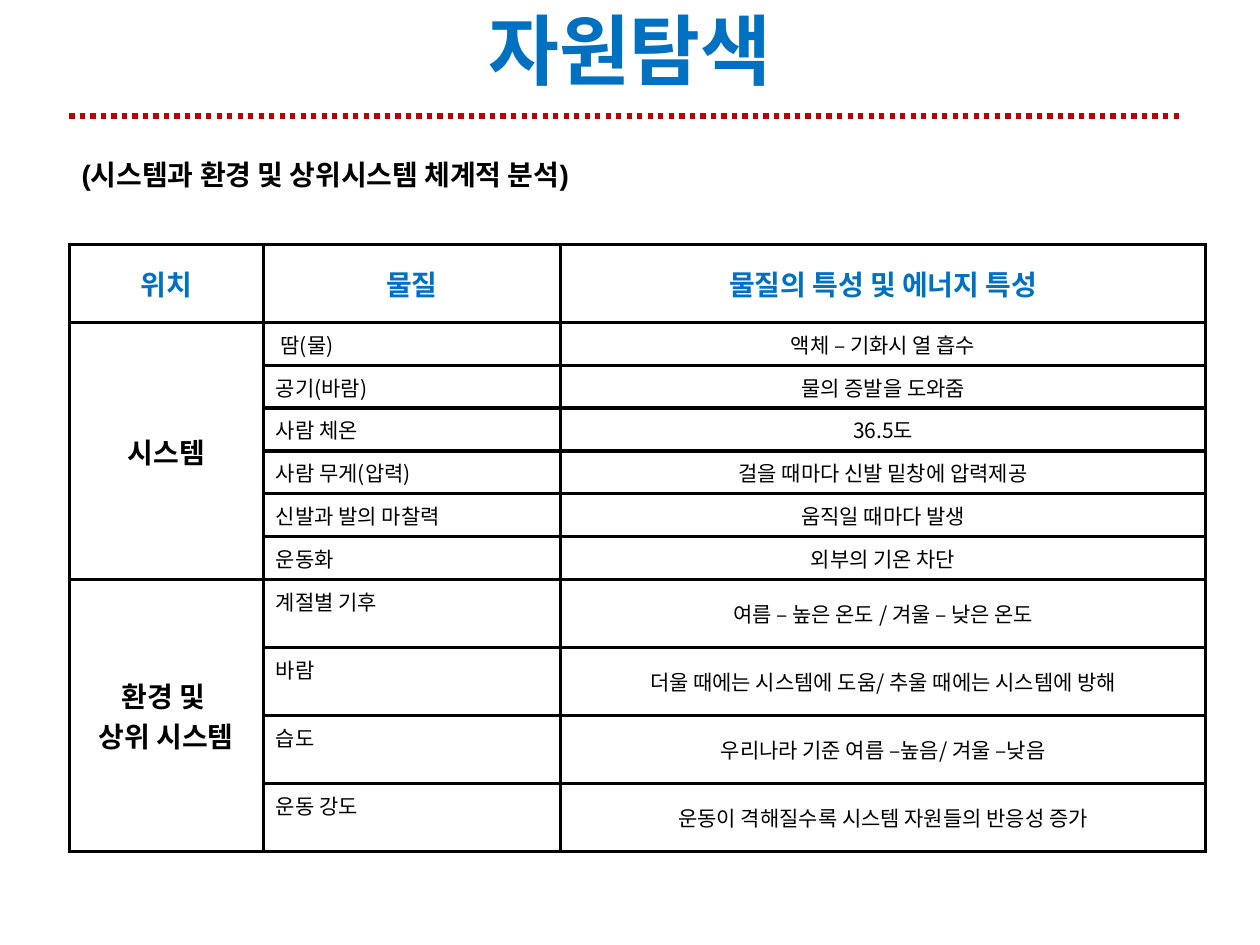
import pptx
import pptx.util
import pptx.dml.color
import pptx.enum.dml
import pptx.enum.shapes
import pptx.enum.text
import pptx.oxml
import pptx.oxml.ns
import lxml.etree

Inches = pptx.util.Inches
Pt = pptx.util.Pt
RGB = pptx.dml.color.RGBColor.from_string
qn = pptx.oxml.ns.qn
ALIGN = pptx.enum.text.PP_ALIGN
ANCHOR = pptx.enum.text.MSO_ANCHOR

THEME = {
    "blue": "0070C0", "red": "C00000", "black": "000000", "white": "FFFFFF",
    "title": 44, "heading": 16, "body": 12,
    "cjk": "Noto Sans CJK KR", "latin": "Arial",
}


def write(tf, text, size, color="black", bold=True, align=ALIGN.CENTER, font="cjk", spacing=1.0):
    for i, line in enumerate(text.split("\n")):
        p = tf.paragraphs[0] if i == 0 else tf.add_paragraph()
        for name, value in {"alignment": align, "line_spacing": spacing}.items():
            setattr(p, name, value)
        r = p.add_run()
        r.text = line
        for name, value in {"size": Pt(THEME[size]), "bold": bold, "name": THEME[font]}.items():
            setattr(r.font, name, value)
        r.font.color.rgb = RGB(THEME[color])
        ea = lxml.etree.SubElement(r.font._element, qn("a:ea"))
        ea.set("typeface", THEME["cjk"])


def add_borders(cell):
    tcPr = cell._tc.get_or_add_tcPr()
    for i, side in enumerate(("lnL", "lnR", "lnT", "lnB")):
        ln = pptx.oxml.parse_xml(
            f'<a:{side} xmlns:a="http://schemas.openxmlformats.org/drawingml/2006/main" w="{Pt(2.25)}">'
            f'<a:solidFill><a:srgbClr val="{THEME["black"]}"/></a:solidFill></a:{side}>'
        )
        tcPr.insert(i, ln)


prs = pptx.Presentation()
prs.slide_width = Inches(10)
prs.slide_height = Inches(7.5)
s = prs.slides.add_slide(prs.slide_layouts[6])

title = s.shapes.add_textbox(Inches(0), Inches(-0.08), Inches(10), Inches(0.94))
title.fill.solid()
title.fill.fore_color.rgb = RGB(THEME["white"])
title.text_frame.word_wrap = True
title.text_frame.vertical_anchor = ANCHOR.MIDDLE
write(title.text_frame, "자원탐색", "title", "blue")

subtitle = s.shapes.add_textbox(Inches(0.55), Inches(1.07), Inches(9.02), Inches(0.45))
subtitle.text_frame.word_wrap = True
subtitle.text_frame.auto_size = pptx.enum.text.MSO_AUTO_SIZE.SHAPE_TO_FIT_TEXT
write(subtitle.text_frame, "(시스템과 환경 및 상위시스템 체계적 분석)", "heading",
      align=ALIGN.LEFT, font="latin", spacing=1.5)

rule = s.shapes.add_connector(pptx.enum.shapes.MSO_CONNECTOR.STRAIGHT,
                              Inches(0.55), Inches(0.92), Inches(9.38), Inches(0.92))
rule.line.color.rgb = RGB(THEME["red"])
rule.line.width = Pt(3)
rule.line.dash_style = pptx.enum.dml.MSO_LINE.ROUND_DOT
lxml.etree.SubElement(rule._element.spPr, qn("a:effectLst"))

headers = ["위치", "물질", "물질의 특성 및 에너지 특성"]
groups = [
    ("시스템", 0.34, [
        (" 땀(물)", "액체 – 기화시 열 흡수"),
        ("공기(바람)", "물의 증발을 도와줌"),
        ("사람 체온", "36.5도"),
        ("사람 무게(압력)", "걸을 때마다 신발 밑창에 압력제공"),
        ("신발과 발의 마찰력", "움직일 때마다 발생"),
        ("운동화", "외부의 기온 차단"),
    ]),
    ("환경 및 \n상위 시스템", 0.54, [
        ("계절별 기후", "여름 – 높은 온도 / 겨울 – 낮은 온도"),
        ("바람", "더울 때에는 시스템에 도움/ 추울 때에는 시스템에 방해"),
        ("습도", "우리나라 기준 여름 –높음/ 겨울 –낮음"),
        ("운동 강도", "운동이 격해질수록 시스템 자원들의 반응성 증가"),
    ]),
]
rows = 1 + sum(len(items) for _, _, items in groups)
table = s.shapes.add_table(rows, len(headers), Inches(0.55), Inches(1.94), Inches(9.02), Inches(4.82)).table
table.first_row = table.horz_banding = False
for col, width in zip(table.columns, (1.54, 2.36, 5.12)):
    col.width = Inches(width)
for cell in table.iter_cells():
    cell.fill.solid()
    cell.fill.fore_color.rgb = RGB(THEME["white"])
    cell.vertical_anchor = ANCHOR.MIDDLE
    add_borders(cell)

table.rows[0].height = Inches(0.62)
for c, text in enumerate(headers):
    write(table.cell(0, c).text_frame, text, "heading", "blue")

row = 1
for place, height, items in groups:
    place_cell = table.cell(row, 0)
    place_cell.merge(table.cell(row + len(items) - 1, 0))
    write(place_cell.text_frame, place, "heading")
    for material, trait in items:
        table.rows[row].height = Inches(height)
        table.cell(row, 1).vertical_anchor = ANCHOR.TOP
        write(table.cell(row, 1).text_frame, material, "body", bold=False, align=ALIGN.LEFT)
        write(table.cell(row, 2).text_frame, trait, "body", bold=False)
        row += 1

prs.save("out.pptx")
